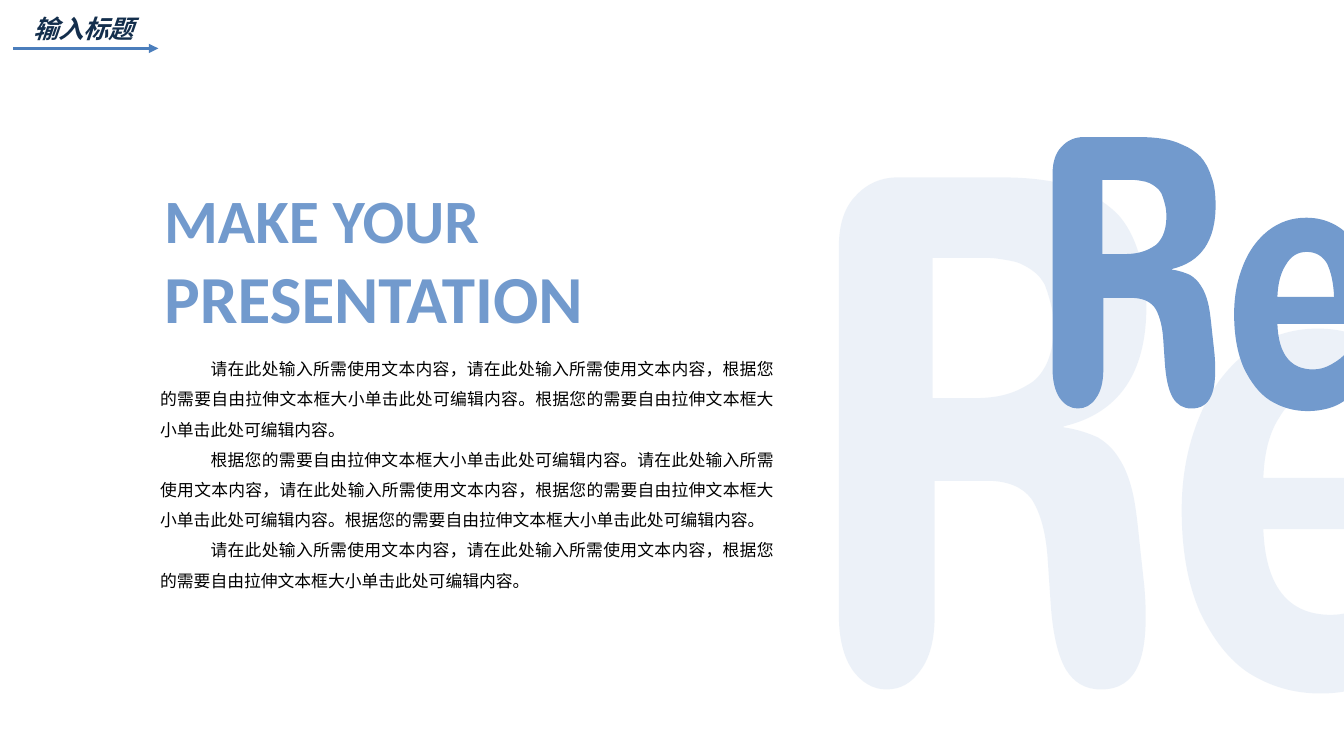
from dataclasses import dataclass

from lxml.etree import Element, SubElement
from pptx import Presentation
from pptx.dml.color import RGBColor
from pptx.enum.shapes import MSO_CONNECTOR
from pptx.enum.text import MSO_AUTO_SIZE, PP_ALIGN
from pptx.oxml.ns import qn
from pptx.util import Pt

PX = 9144  # EMU per px, 100 px to the inch


@dataclass(frozen=True)
class Theme:
    font: str = "Calibri"
    navy: str = "132E4C"
    arrow: str = "4B7EBC"
    blue: str = "729ACD"
    black: str = "000000"
    header_size: int = 18
    first_line_size: int = 44
    second_line_size: int = 48
    body_size: int = 12
    arrow_width: float = 2.25
    pale_opacity: int = 13


THEME = Theme()

# Letter outlines in px: a contour is a start point, then
# lines (x, y) and cubic curves (x1, y1, x2, y2, x, y).
LETTER_R = [
    [(58, 0), (161, 0), (178, 0, 192, 1, 205, 3), (219, 5, 232, 9, 244, 15),
     (257, 20, 268, 28, 277, 37), (285, 46, 292, 58, 297, 74),
     (303, 89, 305, 107, 305, 128), (305, 194, 278, 234, 223, 247),
     (223, 248), (237, 250, 248, 254, 257, 258),
     (265, 263, 272, 269, 278, 279), (284, 288, 288, 299, 291, 311),
     (294, 323, 296, 340, 298, 360), (303, 406),
     (306, 442, 304, 468, 297, 484), (290, 500, 278, 508, 260, 508),
     (244, 508, 233, 501, 225, 488), (217, 474, 212, 452, 210, 422),
     (207, 377), (205, 350, 199, 331, 191, 319),
     (182, 307, 167, 301, 147, 301), (95, 301), (95, 435),
     (95, 459, 90, 477, 81, 489), (72, 502, 61, 508, 47, 508),
     (34, 508, 22, 501, 13, 488), (5, 476, 0, 458, 0, 435), (0, 68),
     (0, 46, 6, 29, 17, 18), (28, 6, 42, 0, 58, 0)],
    [(93, 80), (93, 219), (135, 219), (145, 219, 155, 218, 163, 216),
     (171, 214, 179, 211, 187, 206), (195, 202, 201, 195, 206, 185),
     (210, 176, 213, 164, 213, 150), (213, 140, 212, 132, 210, 125),
     (208, 117, 206, 111, 204, 106), (201, 101, 198, 97, 194, 94),
     (189, 90, 185, 88, 181, 86), (177, 84, 172, 83, 166, 82),
     (160, 81, 154, 80, 150, 80), (146, 80, 140, 80, 133, 80), (93, 80)],
]
LETTER_E = [
    [(135, 0), (156, 0, 174, 5, 190, 14), (206, 23, 218, 35, 227, 51),
     (237, 67, 244, 85, 248, 105), (253, 125, 255, 147, 255, 170),
     (255, 189, 246, 199, 229, 199), (81, 199),
     (83, 255, 105, 284, 148, 284), (160, 284, 171, 281, 183, 274),
     (194, 268, 204, 260, 212, 251), (219, 245, 226, 244, 233, 249),
     (241, 254, 246, 263, 249, 276), (251, 289, 250, 300, 243, 309),
     (237, 316, 232, 322, 226, 327), (221, 332, 214, 337, 206, 343),
     (197, 349, 187, 354, 176, 357), (164, 360, 152, 362, 138, 362),
     (111, 362, 88, 355, 67, 342), (47, 329, 31, 308, 18, 281),
     (6, 253, 0, 220, 0, 180), (0, 146, 6, 116, 17, 89),
     (28, 61, 44, 40, 64, 24), (85, 8, 108, 0, 135, 0)],
    [(136, 64), (119, 64, 106, 72, 97, 88), (87, 103, 82, 123, 81, 148),
     (187, 148), (186, 121, 181, 101, 174, 86), (166, 72, 153, 64, 136, 64)],
]

INPUT_HERE = "请在此处输入所需使用文本内容，请在此处输入所需使用文本内容，"
RESIZE_BOX = "根据您的需要自由拉伸文本框大小单击此处可编辑内容。"
BODY = [
    INPUT_HERE + RESIZE_BOX * 2,
    RESIZE_BOX + INPUT_HERE + RESIZE_BOX * 2,
    INPUT_HERE + RESIZE_BOX,
]


def bend_segments(letter, outline):
    """Replace straight segments by cubic curves where the outline has them."""
    segments = [segment for contour in outline for segment in contour[1:]]
    lines = list(letter._element.iter(qn("a:lnTo")))
    for line, segment in zip(lines, segments):
        if len(segment) == 6:
            curve = Element(qn("a:cubicBezTo"))
            for x, y in zip(segment[::2], segment[1::2]):
                SubElement(curve, qn("a:pt"), x=str(x), y=str(y))
            line.getparent().replace(line, curve)


def add_letter(slide, outline, left, top, scale=1.0, opacity=100):
    builder = slide.shapes.build_freeform(*outline[0][0], scale=PX * scale)
    for index, contour in enumerate(outline):
        if index:
            builder.move_to(*contour[0])
        builder.add_line_segments([segment[-2:] for segment in contour[1:]], close=True)
    letter = builder.convert_to_shape(left * PX, top * PX)
    bend_segments(letter, outline)
    letter.shadow.inherit = False
    letter.line.fill.background()
    letter.fill.solid()
    letter.fill.fore_color.rgb = RGBColor.from_string(THEME.blue)
    if opacity < 100:
        color = letter._element.spPr.find(qn("a:solidFill"))[0]
        SubElement(color, qn("a:alpha"), val=str(opacity * 1000))


def add_arrow(slide, left, right, y):
    arrow = slide.shapes.add_connector(
        MSO_CONNECTOR.STRAIGHT, left * PX, y * PX, right * PX, y * PX)
    arrow.line.color.rgb = RGBColor.from_string(THEME.arrow)
    arrow.line.width = Pt(THEME.arrow_width)
    properties = arrow._element.spPr
    SubElement(properties.find(qn("a:ln")), qn("a:tailEnd"), type="triangle")
    SubElement(properties, qn("a:effectLst"))


def add_box(slide, left, top, width, height):
    box = slide.shapes.add_textbox(left * PX, top * PX, width * PX, height * PX)
    box.text_frame.word_wrap = True
    box.text_frame.auto_size = MSO_AUTO_SIZE.SHAPE_TO_FIT_TEXT
    return box


def add_text(box, text, *, size, color, bold=False, italic=False,
             align=None, indent=0, line_spacing=None):
    frame = box.text_frame
    para = frame.add_paragraph() if frame.text else frame.paragraphs[0]
    para.alignment = align
    para.line_spacing = line_spacing
    if indent:
        properties = para._p.get_or_add_pPr()
        properties.set("marL", "0")
        properties.set("indent", str(indent * PX))
    span = para.add_run()
    span.text = text
    span.font.name = THEME.font
    span.font.size = Pt(size)
    span.font.bold = bold
    span.font.italic = italic
    span.font.color.rgb = RGBColor.from_string(color)


def main():
    deck = Presentation()
    deck.slide_width, deck.slide_height = 1333 * PX, 750 * PX
    page = deck.slides.add_slide(deck.slide_layouts[6])

    # Header with its arrow
    add_arrow(page, 13, 157, 48)
    header = add_box(page, 23, 8, 134, 40)
    add_text(header, "输入标题", size=THEME.header_size, color=THEME.navy,
             bold=True, italic=True)

    # Pale large letters behind, solid small letters in front
    add_letter(page, LETTER_R, 832, 176, opacity=THEME.pale_opacity)
    add_letter(page, LETTER_E, 1172, 326, opacity=THEME.pale_opacity)
    add_letter(page, LETTER_R, 1044, 136, scale=0.53)
    add_letter(page, LETTER_E, 1224, 216, scale=0.53)

    # Headline
    headline = add_box(page, 153, 176, 567, 165)
    for text, size in (("MAKE YOUR", THEME.first_line_size),
                       ("PRESENTATION", THEME.second_line_size)):
        add_text(headline, text, size=size, color=THEME.blue, bold=True)

    # Body text
    body = add_box(page, 149, 341, 629, 252)
    for text in BODY:
        add_text(body, text, size=THEME.body_size, color=THEME.black,
                 align=PP_ALIGN.JUSTIFY, indent=50, line_spacing=1.5)

    deck.save("out.pptx")


if __name__ == "__main__":
    main()
